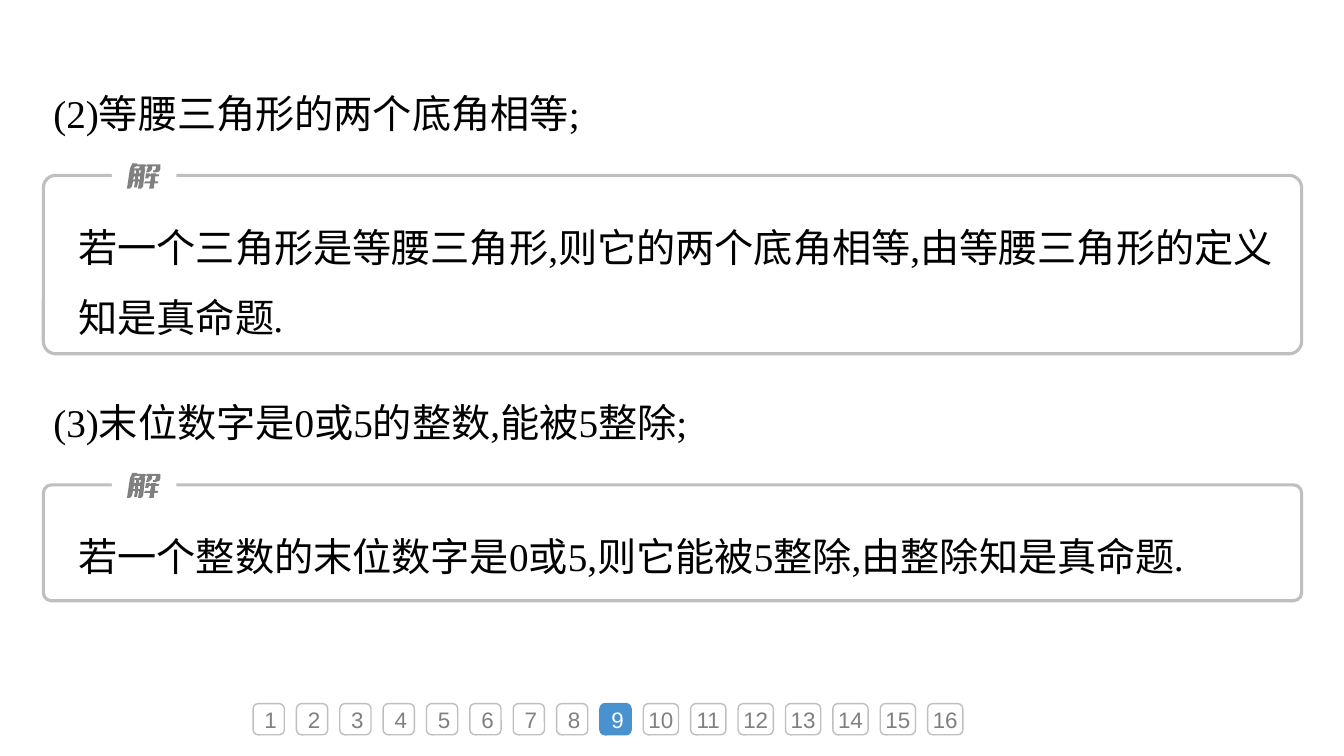
from pptx import Presentation
from pptx.dml.color import RGBColor
from pptx.enum.shapes import MSO_SHAPE
from pptx.enum.text import MSO_ANCHOR, MSO_AUTO_SIZE, PP_ALIGN
from pptx.util import Inches, Pt

COLORS = {
    "text": "000000",
    "white": "FFFFFF",
    "border": "BFBFBF",
    "grey": "808080",
    "current": "4893CF",
}
BODY = {"name": "Times New Roman", "size": Pt(28)}
NUMBER = {"name": "Arial", "size": Pt(16)}

# Strokes of the character 解, in hundredths of an inch from its top left corner
SOLUTION_GLYPH = [
    [(11, 13), (11, 16), (13, 16), (13, 13)],
    [(7, 13), (6, 16), (8, 16), (8, 13)],
    [(25, 10), (29, 10), (29, 11), (32, 11), (32, 12), (31, 13), (28, 13),
     (28, 18), (31, 18), (31, 19), (30, 20), (27, 20), (27, 24), (26, 25),
     (22, 25), (23, 20), (17, 20), (18, 18), (23, 18), (24, 13), (22, 13),
     (21, 15), (18, 15), (19, 10), (23, 10), (23, 11), (24, 11), (24, 10)],
    [(12, 7), (12, 10), (13, 10), (14, 7)],
    [(20, 1), (33, 1), (33, 6), (32, 8), (29, 9), (26, 9), (26, 7), (28, 7),
     (29, 3), (25, 3), (25, 6), (23, 8), (21, 9), (19, 9), (21, 3), (19, 3)],
    [(5, 0), (10, 0), (10, 1), (18, 1), (19, 2), (17, 5), (18, 5), (16, 23),
     (15, 24), (14, 25), (11, 25), (12, 18), (11, 18), (10, 24), (7, 24),
     (8, 18), (6, 18), (5, 23), (4, 24), (3, 25), (0, 25), (3, 5), (8, 5),
     (7, 10), (9, 10), (9, 7), (8, 7), (8, 5), (12, 5), (13, 3), (9, 3),
     (6, 5), (3, 5), (5, 1)],
]


def rgb(name):
    return RGBColor.from_string(COLORS[name])


def add_run(p, text, style, color, **extra):
    r = p.add_run()
    r.text = text
    for key, value in {**style, **extra}.items():
        setattr(r.font, key, value)
    r.font.color.rgb = rgb(color)


def paint(sp, fill=None, line=None, width=1):
    """Set fill and outline; a missing colour means none."""
    sp.shadow.inherit = False
    if fill:
        sp.fill.solid()
        sp.fill.fore_color.rgb = rgb(fill)
    else:
        sp.fill.background()
    if line:
        sp.line.color.rgb = rgb(line)
        sp.line.width = Pt(width)
    else:
        sp.line.fill.background()


def add_shape(s, kind, x, y, w, h, **look):
    sp = s.shapes.add_shape(kind, Inches(x), Inches(y), Inches(w), Inches(h))
    paint(sp, **look)
    return sp


def add_paragraph_box(s, x, y, w, h, text):
    """Add body text and return its paragraph."""
    tf = s.shapes.add_textbox(Inches(x), Inches(y), Inches(w), Inches(h)).text_frame
    tf.word_wrap = True
    tf.auto_size = MSO_AUTO_SIZE.SHAPE_TO_FIT_TEXT
    p = tf.paragraphs[0]
    p.line_spacing = 1.5
    add_run(p, text, BODY, "text")
    return p


def add_glyph(s, x, y):
    first, *others = SOLUTION_GLYPH
    builder = s.shapes.build_freeform(*first[0], scale=Inches(0.01))
    builder.add_line_segments(first[1:], close=True)
    for contour in others:
        builder.move_to(*contour[0])
        builder.add_line_segments(contour[1:], close=True)
    paint(builder.convert_to_shape(Inches(x), Inches(y)), fill="grey")


def add_solution(s, x, y, w, h, text, text_h):
    """Framed answer with its label set into the top edge."""
    frame = add_shape(s, MSO_SHAPE.ROUNDED_RECTANGLE, x, y, w, h,
                      line="border", width=2.25)
    frame.adjustments[0] = 0.07
    add_shape(s, MSO_SHAPE.RECTANGLE, x + 0.68, y - 0.13, 0.64, 0.24, fill="white")
    add_glyph(s, x + 0.83, y - 0.12)
    p = add_paragraph_box(s, x + 0.25, y + 0.19, w - 0.43, text_h, text)
    add_run(p, ".", BODY, "text", italic=True)


def add_page_numbers(s, x, y, count, current):
    size, wide, gap = 0.31, 0.35, 0.12
    for number in range(1, count + 1):
        two_digits = number > 9
        w = wide if two_digits else size
        active = number == current
        sp = add_shape(s, MSO_SHAPE.ROUNDED_RECTANGLE, x, y, w, size,
                       fill="current" if active else "white",
                       line="current" if active else "border")
        tf = sp.text_frame
        tf.vertical_anchor = MSO_ANCHOR.MIDDLE
        if two_digits:
            tf.margin_left = tf.margin_right = 0
        p = tf.paragraphs[0]
        p.alignment = PP_ALIGN.CENTER
        add_run(p, str(number), NUMBER, "white" if active else "grey")
        x += w + gap


def main():
    prs = Presentation()
    prs.slide_width, prs.slide_height = Inches(13.33), Inches(7.5)
    s = prs.slides.add_slide(prs.slide_layouts[6])
    left, width = 0.43, 12.48

    add_paragraph_box(s, left, 0.6, width, 0.81, "(2)等腰三角形的两个底角相等;")
    add_page_numbers(s, 2.51, 6.98, count=16, current=9)
    add_solution(s, left, 1.74, width, 1.77,
                 "若一个三角形是等腰三角形,则它的两个底角相等,由等腰三角形的定义知是真命题", 1.44)
    add_paragraph_box(s, left, 3.67, width, 0.81, "(3)末位数字是0或5的整数,能被5整除;")
    add_solution(s, left, 4.81, width, 1.15,
                 "若一个整数的末位数字是0或5,则它能被5整除,由整除知是真命题", 0.73)

    prs.save("out.pptx")


if __name__ == "__main__":
    main()
